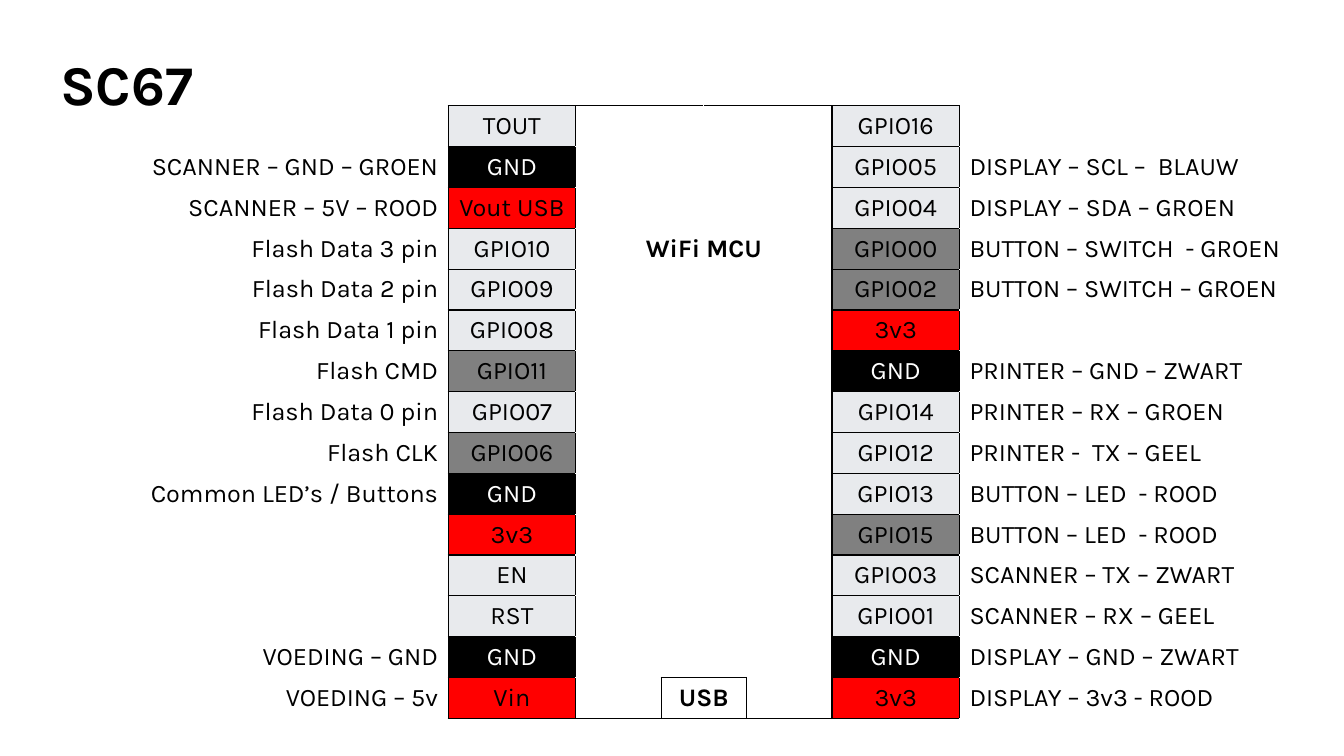
"""Build a pinout slide: a microcontroller board with its wiring on both sides."""
from dataclasses import dataclass

from lxml import etree
from pptx import Presentation
from pptx.dml.color import RGBColor
from pptx.enum.text import MSO_ANCHOR, PP_ALIGN
from pptx.oxml.ns import qn
from pptx.util import Pt

LEFT, CENTER, RIGHT = PP_ALIGN.LEFT, PP_ALIGN.CENTER, PP_ALIGN.RIGHT
MIDDLE = MSO_ANCHOR.MIDDLE
FONT = "Karla"
BLACK, WHITE, RED, GRAY, PALE = "000000", "FFFFFF", "FF0000", "808080", "E8EAED"
POWER_PINS = {"3v3", "Vin", "Vout USB"}
BOOT_PINS = {"GPIO00", "GPIO02", "GPIO06", "GPIO11", "GPIO15"}
COLUMN_WIDTHS = [241, 91, 61.2, 30.4, 30.4, 61.2, 91, 241]
ROW_HEIGHT = 29.18
CHIP_ROW = 3


@dataclass(frozen=True)
class Pin:
    """A board pin and the wire attached to it."""
    name: str
    wire: str = ""


@dataclass(frozen=True)
class Edges:
    """Border colours of a cell, in the order the file format needs."""
    L: str = BLACK
    R: str = BLACK
    T: str = BLACK
    B: str = BLACK


LEFT_PINS = [
    Pin("TOUT"),
    Pin("GND", "SCANNER – GND – GROEN"),
    Pin("Vout USB", "SCANNER – 5V – ROOD"),
    Pin("GPIO10", "Flash Data 3 pin"),
    Pin("GPIO09", "Flash Data 2 pin"),
    Pin("GPIO08", "Flash Data 1 pin"),
    Pin("GPIO11", "Flash CMD"),
    Pin("GPIO07", "Flash Data 0 pin"),
    Pin("GPIO06", "Flash CLK"),
    Pin("GND", "Common LED’s / Buttons"),
    Pin("3v3"),
    Pin("EN"),
    Pin("RST"),
    Pin("GND", "VOEDING – GND"),
    Pin("Vin", "VOEDING – 5v"),
]
RIGHT_PINS = [
    Pin("GPIO16"),
    Pin("GPIO05", "DISPLAY – SCL –  BLAUW"),
    Pin("GPIO04", "DISPLAY – SDA – GROEN"),
    Pin("GPIO00", "BUTTON – SWITCH  - GROEN"),
    Pin("GPIO02", "BUTTON – SWITCH – GROEN"),
    Pin("3v3"),
    Pin("GND", "PRINTER – GND – ZWART"),
    Pin("GPIO14", "PRINTER – RX – GROEN"),
    Pin("GPIO12", "PRINTER -  TX – GEEL"),
    Pin("GPIO13", "BUTTON – LED  - ROOD"),
    Pin("GPIO15", "BUTTON – LED  - ROOD"),
    Pin("GPIO03", "SCANNER – TX – ZWART"),
    Pin("GPIO01", "SCANNER – RX – GEEL"),
    Pin("GND", "DISPLAY – GND – ZWART"),
    Pin("3v3", "DISPLAY – 3v3 - ROOD"),
]


def color(value: str) -> RGBColor:
    """Turn a hex string into a colour."""
    return RGBColor.from_string(value)


def pin_fill(name: str) -> str:
    """Choose the fill of a pin from its role."""
    if name == "GND":
        return BLACK
    if name in POWER_PINS:
        return RED
    return GRAY if name in BOOT_PINS else PALE


def style(para, text: str, size: float, align, ink: str = BLACK, bold: bool = False) -> None:
    """Write a paragraph in the slide font."""
    para.text = text
    para.alignment = align
    font = para.font
    font.name, font.size, font.bold = FONT, Pt(size), bold
    font.color.rgb = color(ink)


def draw_edges(cell, edges: Edges) -> None:
    """Give a cell its four border lines."""
    properties = cell._tc.get_or_add_tcPr()
    for index, side in enumerate("LRTB"):
        line = etree.Element(qn(f"a:ln{side}"), w=str(Pt(1)))
        solid = etree.SubElement(line, qn("a:solidFill"))
        etree.SubElement(solid, qn("a:srgbClr"), val=getattr(edges, side))
        properties.insert(index, line)


def fill_cell(cell, text: str, align, edges: Edges, bold: bool = False) -> None:
    """Fill an unshaded cell with text and borders."""
    cell.vertical_anchor = MIDDLE
    style(cell.text_frame.paragraphs[0], text, 18, align, BLACK, bold)
    draw_edges(cell, edges)


def fill_pin(cell, pin: Pin) -> None:
    """Fill the shaded cell of a pin."""
    shade = pin_fill(pin.name)
    cell.fill.solid()
    cell.fill.fore_color.rgb = color(shade)
    cell.vertical_anchor = MIDDLE
    ink = WHITE if shade == BLACK else BLACK
    style(cell.text_frame.paragraphs[0], pin.name, 18, CENTER, ink)
    draw_edges(cell, Edges())


def fill_board(grid, row: int) -> None:
    """Draw the part of the board between the two pin columns."""
    last = len(LEFT_PINS) - 1
    if row == CHIP_ROW:
        grid.cell(row, 2).merge(grid.cell(row, 5))
        fill_cell(grid.cell(row, 2), "WiFi MCU", CENTER, Edges(T=WHITE, B=WHITE), True)
    elif row == last:
        grid.cell(row, 3).merge(grid.cell(row, 4))
        fill_cell(grid.cell(row, 3), "USB", CENTER, Edges(), True)
        for column in (2, 5):
            fill_cell(grid.cell(row, column), "", CENTER, Edges(T=WHITE))
    else:
        top = BLACK if row == 0 else WHITE
        halves = {2: Edges(R=WHITE, T=top, B=WHITE), 4: Edges(L=WHITE, T=top, B=WHITE)}
        for column, edges in halves.items():
            grid.cell(row, column).merge(grid.cell(row, column + 1))
            fill_cell(grid.cell(row, column), "", CENTER, edges)


def add_pinout(page) -> None:
    """Add the table with wires, pins and board."""
    rows, columns = len(LEFT_PINS), len(COLUMN_WIDTHS)
    grid = page.shapes.add_table(rows, columns, Pt(79.2), Pt(75.6),
                                 Pt(sum(COLUMN_WIDTHS)), Pt(rows * ROW_HEIGHT)).table
    grid.first_row = grid.horz_banding = False
    for column, width in zip(grid.columns, COLUMN_WIDTHS):
        column.width = Pt(width)
    for line in grid.rows:
        line.height = Pt(ROW_HEIGHT)
    for cell in grid.iter_cells():
        cell.fill.background()
    for row, (left, right) in enumerate(zip(LEFT_PINS, RIGHT_PINS)):
        fill_cell(grid.cell(row, 0), left.wire, RIGHT, Edges(L=WHITE, T=WHITE, B=WHITE))
        fill_pin(grid.cell(row, 1), left)
        fill_board(grid, row)
        fill_pin(grid.cell(row, 6), right)
        fill_cell(grid.cell(row, 7), right.wire, LEFT, Edges(R=WHITE, T=WHITE, B=WHITE))


def main() -> None:
    """Build and save the deck."""
    deck = Presentation()
    deck.slide_width, deck.slide_height = Pt(960), Pt(540)
    page = deck.slides.add_slide(deck.slide_layouts[6])
    add_pinout(page)
    box = page.shapes.add_textbox(Pt(36), Pt(31.7), Pt(197.3), Pt(55.4))
    box.text_frame.word_wrap = True
    style(box.text_frame.paragraphs[0], "SC67", 40, LEFT, bold=True)
    deck.save("out.pptx")


if __name__ == "__main__":
    main()
